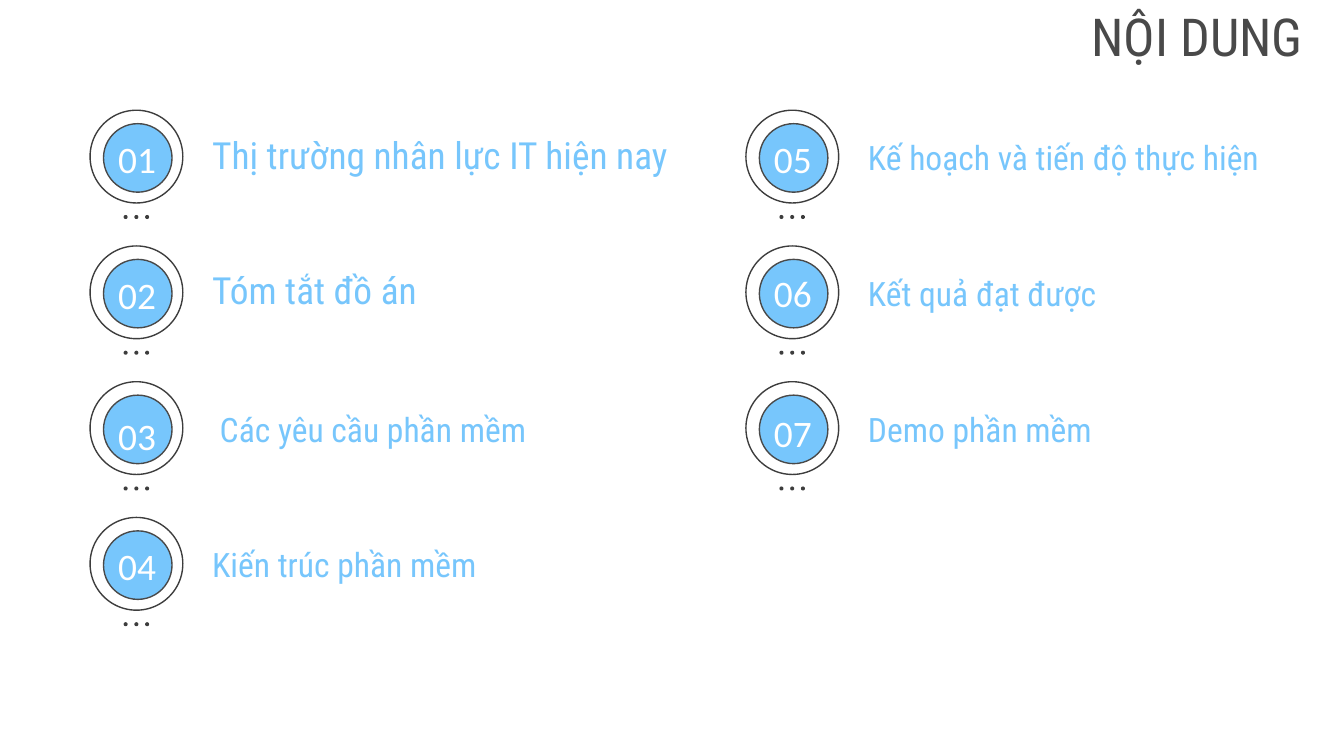
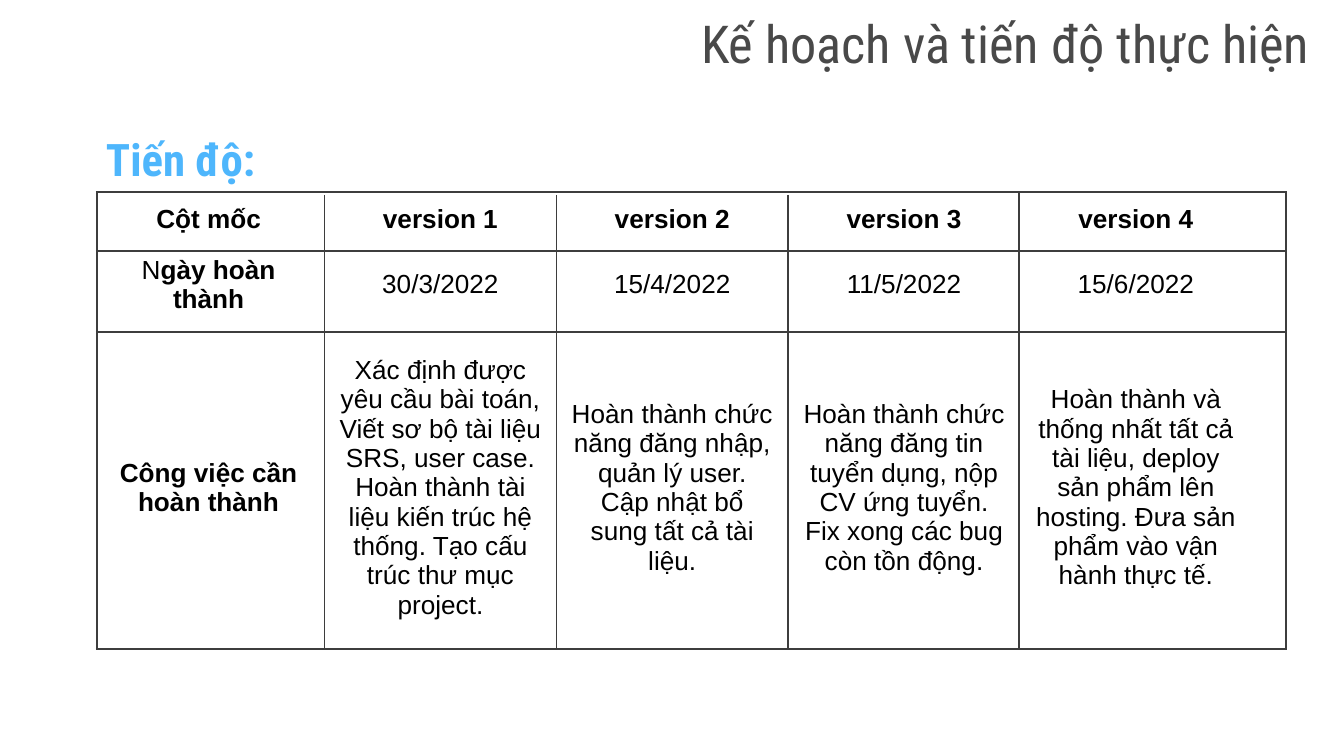
from lxml import etree
from pptx import Presentation
from pptx import util as u
from pptx.dml.color import RGBColor
from pptx.enum import shapes, text
from pptx.oxml import ns

WHITE = RGBColor(0xFF, 0xFF, 0xFF)
BLACK = RGBColor(0x00, 0x00, 0x00)
INK = RGBColor(0x3D, 0x3D, 0x3D)
TITLE_GRAY = RGBColor(0x49, 0x49, 0x49)
SKY = RGBColor(0x77, 0xC6, 0xFC)
BLUE = RGBColor(0x4E, 0xB6, 0xFC)

HEADING_FONT = "Roboto Condensed"
NUMBER_FONT = "Calibri"
TABLE_FONT = "Arial"

AGENDA_TITLE = "NỘI DUNG"
# label, size, label width, offset of the number below the badge top
AGENDA = [
    {
        "badge_left": 0.67,
        "label_left": 1.48,
        "topics": [
            ("Thị trường nhân lực IT hiện nay", 20, 3.61, 0.17),
            ("Tóm tắt đồ án", 20, 3.61, 0.17),
            (" Các yêu cầu phần mềm", 18, 2.76, 0.21),
            ("Kiến trúc phần mềm", 18, 2.4, 0.17),
        ],
    },
    {
        "badge_left": 5.55,
        "label_left": 6.36,
        "topics": [
            ("Kế hoạch và tiến độ thực hiện", 18, 3.12, 0.17),
            ("Kết quả đạt được", 18, 1.98, 0.16),
            ("Demo phần mềm", 18, 1.98, 0.19),
        ],
    },
]
AGENDA_TOP = 0.82
AGENDA_PITCH = 1.01
LABEL_BOXES = {20: (0.06, 0.52), 18: (0.1, 0.6)}

PLAN_TITLE = "Kế hoạch và tiến độ thực hiện"
PLAN_HEADING = "Tiến độ:"
SCHEDULE = [
    ["Cột mốc", "version 1", "version 2", "version 3", "version 4"],
    ["N|gày hoàn thành", "30/3/2022", "15/4/2022", "11/5/2022", "15/6/2022"],
    [
        "Công việc cần hoàn thành",
        "Xác định được yêu cầu bài toán, Viết sơ bộ tài liệu SRS, user case. "
        "Hoàn thành tài liệu kiến trúc hệ thống. Tạo cấu trúc thư mục project.",
        "Hoàn thành chức năng đăng nhập, quản lý user. "
        "Cập nhật bổ sung tất cả tài liệu.",
        "Hoàn thành chức năng đăng tin tuyển dụng, nộp CV ứng tuyển. "
        "Fix xong các bug còn tồn động.",
        "Hoàn thành và thống nhất tất cả tài liệu, deploy sản phẩm lên hosting. "
        "Đưa sản phẩm vào vận hành thực tế.",
    ],
]
SCHEDULE_COLUMNS = [1.725] * 5
SCHEDULE_ROWS = [0.36, 0.62, 2.4]
FRAME_COLUMNS = [6.86, 1.99]
FRAME_ROWS = [0.44, 0.6, 2.36]


def inches(*lengths):
    return [u.Inches(length) for length in lengths]


def style_run(run, font, size, color, bold=False):
    run.font.name = font
    run.font.size = u.Pt(size)
    run.font.bold = bold
    run.font.color.rgb = color


def add_text(slide, box, content, font, size, color, align=text.PP_ALIGN.LEFT,
             anchor=text.MSO_ANCHOR.TOP, bold=False):
    frame = slide.shapes.add_textbox(*inches(*box)).text_frame
    frame.word_wrap = True
    frame.vertical_anchor = anchor
    frame.margin_left = frame.margin_right = u.Inches(0.1)
    frame.margin_top = frame.margin_bottom = u.Inches(0.1)
    frame.text = content
    paragraph = frame.paragraphs[0]
    paragraph.alignment = align
    style_run(paragraph.runs[0], font, size, color, bold)
    return paragraph


def add_title(slide, box, content):
    add_text(slide, box, content, HEADING_FONT, 28, TITLE_GRAY,
             text.PP_ALIGN.RIGHT, text.MSO_ANCHOR.MIDDLE)


def add_circle(group, left, top, diameter, fill, line=None):
    circle = group.shapes.add_shape(
        shapes.MSO_SHAPE.OVAL, *inches(left, top, diameter, diameter))
    circle.shadow.inherit = False
    circle.fill.solid()
    circle.fill.fore_color.rgb = fill
    if line is None:
        circle.line.fill.background()
    else:
        circle.line.color.rgb = line
        circle.line.width = u.Pt(0.75)


def add_badge(slide, left, top, number, number_drop):
    group = slide.shapes.add_group_shape()
    add_circle(group, left, top, 0.69, WHITE, INK)
    add_circle(group, left + 0.1, top + 0.1, 0.51, SKY, TITLE_GRAY)
    for dot in range(3):
        add_circle(group, left + 0.25 + dot * 0.08, top + 0.78, 0.03, INK)
    add_text(slide, (left + 0.1, top + number_drop, 0.5, 0.38), f"{number:02}",
             NUMBER_FONT, 20, WHITE, text.PP_ALIGN.CENTER, text.MSO_ANCHOR.MIDDLE)


def set_borders(cell, visible):
    properties = cell._tc.get_or_add_tcPr()
    for side in "LRTB":
        line = etree.SubElement(properties, ns.qn(f"a:ln{side}"), w=str(u.Pt(1)))
        if side in visible:
            fill = etree.SubElement(line, ns.qn("a:solidFill"))
            etree.SubElement(fill, ns.qn("a:srgbClr"), val=str(INK))
        else:
            etree.SubElement(line, ns.qn("a:noFill"))


def add_plain_table(slide, left, top, columns, rows):
    table = slide.shapes.add_table(
        len(rows), len(columns),
        *inches(left, top, sum(columns), sum(rows))).table
    table.first_row = table.horz_banding = False
    for column, width in zip(table.columns, columns):
        column.width = u.Inches(width)
    for row, height in zip(table.rows, rows):
        row.height = u.Inches(height)
    return table


def add_schedule(slide):
    table = add_plain_table(slide, 0.69, 1.45, SCHEDULE_COLUMNS, SCHEDULE_ROWS)
    for row_index, row in enumerate(SCHEDULE):
        for column_index, content in enumerate(row):
            cell = table.cell(row_index, column_index)
            left_side = "L" if 0 < column_index < 4 else ""
            right_side = "R" if column_index < 3 else ""
            set_borders(cell, left_side + right_side)
            cell.fill.solid()
            cell.fill.fore_color.rgb = WHITE
            cell.vertical_anchor = text.MSO_ANCHOR.MIDDLE
            cell.margin_left = cell.margin_right = u.Inches(0.11)
            cell.margin_top = cell.margin_bottom = u.Inches(0.05)
            paragraph = cell.text_frame.paragraphs[0]
            paragraph.alignment = text.PP_ALIGN.CENTER
            heading = row_index == 0 or column_index == 0
            *plain_parts, last_part = content.split("|")
            for part in plain_parts + [last_part]:
                run = paragraph.add_run()
                run.text = part
                style_run(run, TABLE_FONT, 14, BLACK, heading and part == last_part)


def add_frame(slide):
    table = add_plain_table(slide, 0.72, 1.43, FRAME_COLUMNS, FRAME_ROWS)
    for cell in table.iter_cells():
        set_borders(cell, "LRTB")
        cell.fill.background()


def build_agenda(slide):
    add_title(slide, (6.93, -0.05, 2.86, 0.63), AGENDA_TITLE)
    number = 0
    for column in AGENDA:
        for row, (label, size, width, number_drop) in enumerate(column["topics"]):
            number += 1
            top = AGENDA_TOP + row * AGENDA_PITCH
            add_badge(slide, column["badge_left"], top, number, number_drop)
            label_drop, height = LABEL_BOXES[size]
            add_text(slide, (column["label_left"], top + label_drop, width, height),
                     label, HEADING_FONT, size, SKY)


def build_plan(slide):
    add_title(slide, (4.94, 0, 4.9, 0.63), PLAN_TITLE)
    add_schedule(slide)
    add_frame(slide)
    heading = add_text(slide, (0.69, 0.68, 6.79, 0.73), PLAN_HEADING,
                       HEADING_FONT, 24, BLUE, bold=True)
    heading.line_spacing = 1.5


def main():
    presentation = Presentation()
    presentation.slide_width, presentation.slide_height = inches(10, 5.625)
    for build in (build_agenda, build_plan):
        slide = presentation.slides.add_slide(presentation.slide_layouts[6])
        slide.background.fill.solid()
        slide.background.fill.fore_color.rgb = WHITE
        build(slide)
    presentation.save("out.pptx")


if __name__ == "__main__":
    main()
